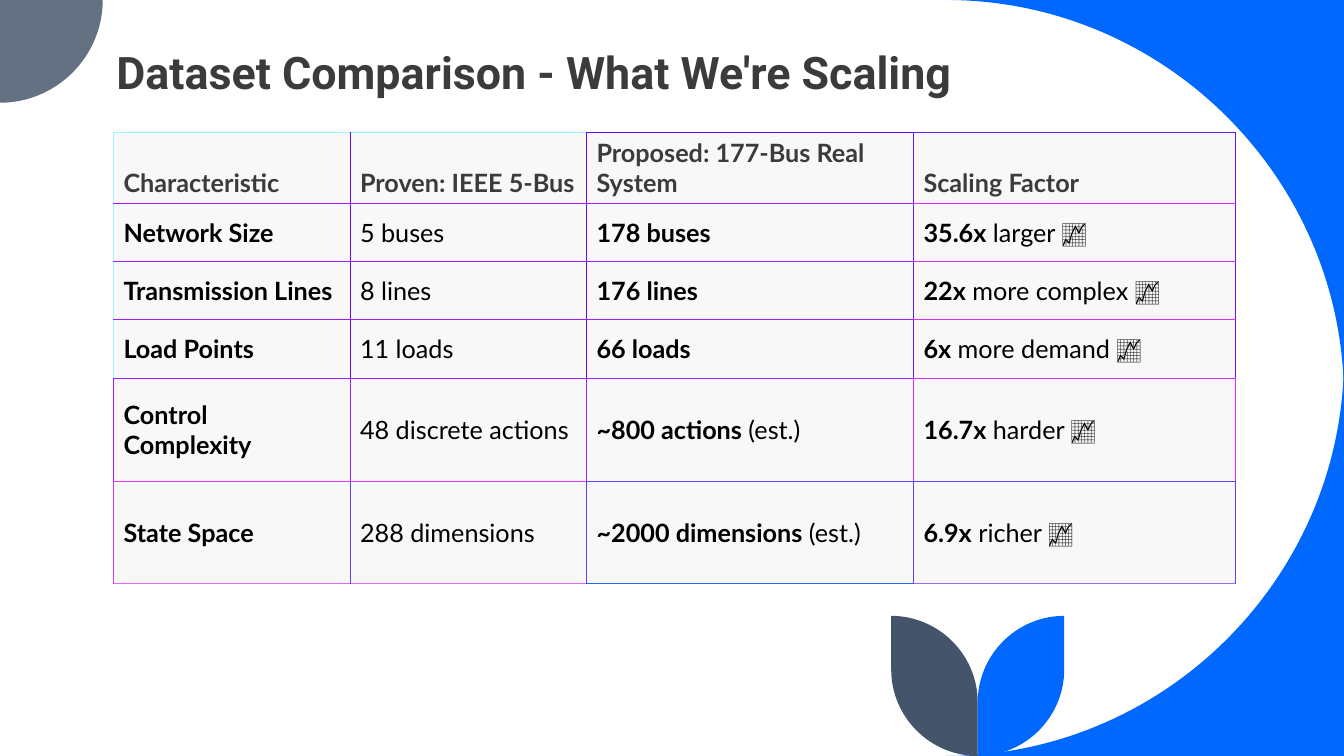
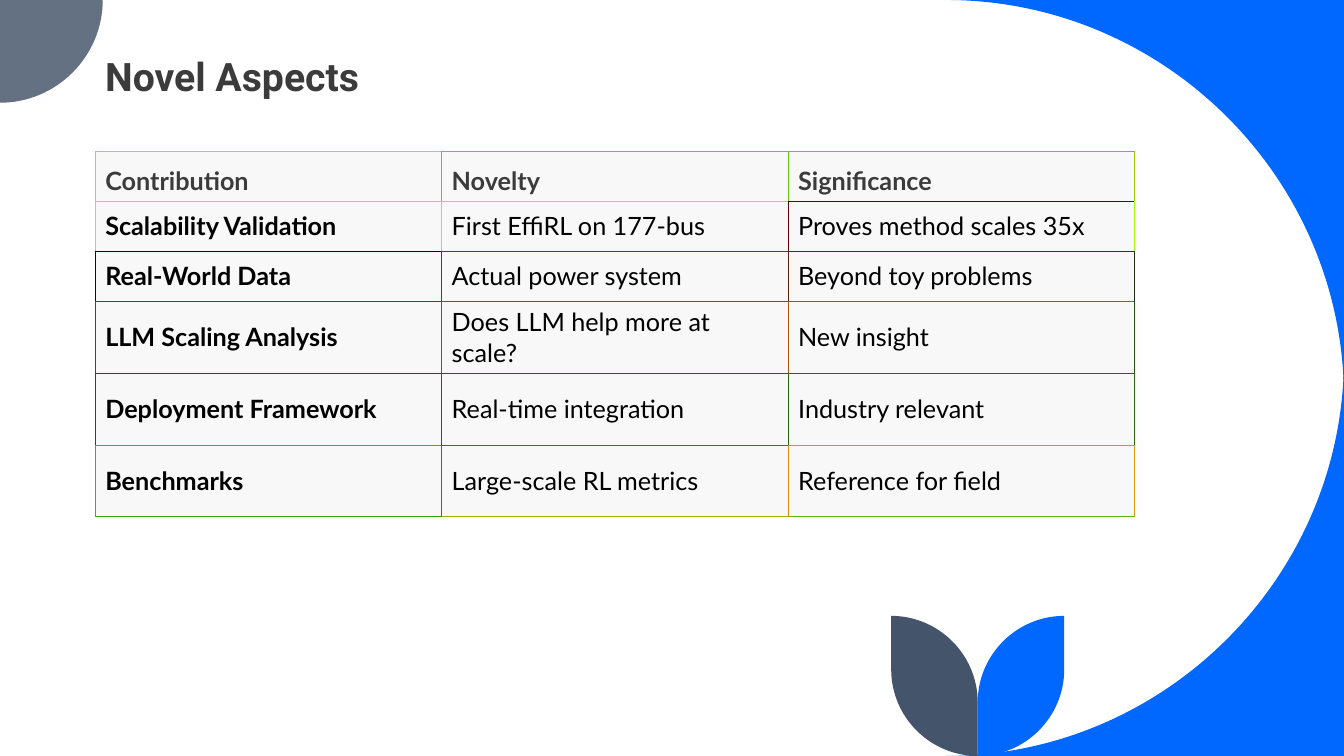
from dataclasses import dataclass
from typing import NamedTuple

from lxml import etree
from pptx import Presentation
from pptx.dml.color import RGBColor
from pptx.enum.text import MSO_ANCHOR
from pptx.oxml.ns import qn
from pptx.util import Cm, Pt

BOTTOM, MIDDLE = MSO_ANCHOR.BOTTOM, MSO_ANCHOR.MIDDLE

# Shared look
BLUE, SLATE, NAVY = "0068FF", "637183", "44546A"
HEADING, BODY, CELL_FILL = "3B3B3B", "000000", "F8F8F8"
TITLE_FONT, TABLE_FONT = "Roboto", "Lato"
BORDER_WIDTH = Pt(0.6)
WIDTH, HEIGHT = 33.87, 19.05
ARC_RATIO = 0.55  # control point distance for a quarter circle

Point = tuple[float, float]
Segment = list[Point]  # one point for a line, three for a curve


class Cell(NamedTuple):
    bold: str = ""
    plain: str = ""


class Outline(NamedTuple):
    start: Point
    segments: list[Segment]
    color: str

    def mirrored(self, color: str, x_axis: float = 0, y_axis: float = 0) -> "Outline":
        """Flip about a vertical line at x_axis or a horizontal one at y_axis."""
        def flip(point: Point) -> Point:
            x, y = point
            return (2 * x_axis - x if x_axis else x, 2 * y_axis - y if y_axis else y)

        segments = [[flip(point) for point in segment] for segment in self.segments]
        return Outline(flip(self.start), segments, color)


@dataclass
class TableSlide:
    title: str
    title_size: int
    left: float
    top: float
    columns: list[float]
    heights: list[float]
    rows: list[list[Cell]]
    level_colors: list[str]  # horizontal edges, one string per level
    side_colors: list[str]  # vertical edges, one string per row


def rgb(color: str) -> RGBColor:
    return RGBColor.from_string(color)


# Decoration outlines, in centimetres
def quarter_arc(start: Point, corner: Point, end: Point) -> Segment:
    """Curve from start to end that bends towards the corner."""
    def toward_corner(point: Point) -> Point:
        x, y = (p + ARC_RATIO * (c - p) for p, c in zip(point, corner))
        return x, y

    return [toward_corner(start), toward_corner(end), end]


def decoration() -> list[Outline]:
    radius, badge = 10.03, 2.59
    stem, leaf_width, leaf_height = 24.64, 2.18, 3.53
    tip, leaf_top = stem + leaf_width, HEIGHT - leaf_height
    corner_start = (WIDTH - radius, 0)
    corner = Outline((WIDTH, 0), [
        [corner_start],
        quarter_arc(corner_start, (WIDTH, 0), (WIDTH, radius)),
    ], BLUE)
    badge_outline = Outline((0, 0), [
        [(badge, 0)],
        quarter_arc((badge, 0), (badge, badge), (0, badge)),
    ], SLATE)
    shoulder, waist = (tip, HEIGHT - leaf_width), (stem, leaf_top + leaf_width)
    leaf = Outline((tip, leaf_top), [
        [shoulder],
        quarter_arc(shoulder, (tip, HEIGHT), (stem, HEIGHT)),
        [waist],
        quarter_arc(waist, (stem, leaf_top), (tip, leaf_top)),
    ], BLUE)
    return [
        corner,
        corner.mirrored(BLUE, y_axis=HEIGHT / 2),
        badge_outline,
        leaf,
        leaf.mirrored(NAVY, x_axis=stem),
    ]


def draw_outline(slide, outline: Outline) -> None:
    builder = slide.shapes.build_freeform(*map(Cm, outline.start))
    for segment in outline.segments:
        builder.add_line_segments([(Cm(x), Cm(y)) for x, y in segment], close=False)
    builder.add_line_segments([], close=True)
    shape = builder.convert_to_shape()
    shape.shadow.inherit = False
    shape.fill.solid()
    shape.fill.fore_color.rgb = rgb(outline.color)
    shape.line.fill.background()

    # Join the three points of each curve into one Bezier element
    lines = iter(list(shape._element.iter(qn("a:lnTo"))))
    for segment in outline.segments:
        parts = [next(lines) for _ in segment]
        if len(parts) == 3:
            curve = etree.Element(qn("a:cubicBezTo"))
            parts[0].addprevious(curve)
            for part in parts:
                curve.append(part[0])
                part.getparent().remove(part)


# Text
def add_run(paragraph, text: str, color: str, **font_format) -> None:
    run = paragraph.add_run()
    run.text = text
    run.font.color.rgb = rgb(color)
    for name, value in font_format.items():
        setattr(run.font, name, value)


def draw_title(slide, text: str, size: int) -> None:
    frame = slide.shapes.add_textbox(Cm(2.4), Cm(-0.13), Cm(30.8), Cm(2.74)).text_frame
    frame.word_wrap = True
    frame.vertical_anchor = BOTTOM
    paragraph = frame.paragraphs[0]
    paragraph.line_spacing = 0.8
    add_run(paragraph, text, HEADING, name=TITLE_FONT, size=Pt(size), bold=True)


# Table
def set_borders(cell, colors: dict[str, str]) -> None:
    properties = cell._tc.get_or_add_tcPr()
    for side, color in colors.items():
        line = etree.SubElement(properties, qn(f"a:ln{side}"), w=str(BORDER_WIDTH))
        fill = etree.SubElement(line, qn("a:solidFill"))
        etree.SubElement(fill, qn("a:srgbClr"), val=color)


def draw_table(slide, content: TableSlide) -> None:
    table = slide.shapes.add_table(
        len(content.rows), len(content.columns), Cm(content.left), Cm(content.top),
        Cm(sum(content.columns)), Cm(sum(content.heights)),
    ).table
    table.first_row = table.horz_banding = False
    for column, width in zip(table.columns, content.columns):
        column.width = Cm(width)
    for row, height in zip(table.rows, content.heights):
        row.height = Cm(height)
    levels = [colors.split() for colors in content.level_colors]
    sides = [colors.split() for colors in content.side_colors]

    for r, row_cells in enumerate(content.rows):
        for c, texts in enumerate(row_cells):
            cell = table.cell(r, c)
            set_borders(cell, {
                "L": sides[r][c], "R": sides[r][c + 1],
                "T": levels[r][c], "B": levels[r + 1][c],
            })
            cell.fill.solid()
            cell.fill.fore_color.rgb = rgb(CELL_FILL)
            cell.vertical_anchor = MIDDLE if r else BOTTOM
            paragraph = cell.text_frame.paragraphs[0]
            for text, bold in ((texts.bold, True), (texts.plain, False)):
                if text:
                    add_run(paragraph, text, BODY if r else HEADING,
                            name=TABLE_FONT, size=Pt(18), bold=bold)


# Content
SLIDES = [
    TableSlide(
        title=" Dataset Comparison - What We're Scaling", title_size=32,
        left=2.86, top=3.34,
        columns=[5.96, 5.96, 8.24, 8.11],
        heights=[1.47] * 4 + [2.59] * 2,
        rows=[
            [Cell("Characteristic"), Cell("Proven: IEEE 5-Bus"),
             Cell("Proposed: 177-Bus Real System"), Cell("Scaling Factor")],
            [Cell("Network Size"), Cell(plain="5 buses"),
             Cell("178 buses"), Cell("35.6x", " larger 📈")],
            [Cell("Transmission Lines"), Cell(plain="8 lines"),
             Cell("176 lines"), Cell("22x", " more complex 📈")],
            [Cell("Load Points"), Cell(plain="11 loads"),
             Cell("66 loads"), Cell("6x", " more demand 📈")],
            [Cell("Control Complexity"), Cell(plain="48 discrete actions"),
             Cell("~800 actions", " (est.)"), Cell("16.7x", " harder 📈")],
            [Cell("State Space"), Cell(plain="288 dimensions"),
             Cell("~2000 dimensions", " (est.)"), Cell("6.9x", " richer 📈")],
        ],
        level_colors=[
            "A0F2FC A0F2FC 6007FD 601CFD",
            *["A01CFD A01CFD A020FD E029FD"] * 4,
            "E033FD E033FD 6041FD 6042FD",
            "E066FD E066FD 2068FD A066FD",
        ],
        side_colors=[
            *["A0F2FC 6007FD 6007FD 601CFD 601CFD"] * 4,
            "A01CFD A020FD A020FD E029FD E029FD",
            "E033FD 6041FD 6041FD 6042FD 6042FD",
        ],
    ),
    TableSlide(
        title="Novel Aspects", title_size=28,
        left=2.4, top=3.81,
        columns=[8.73] * 3,
        heights=[1.26] * 3 + [1.81] * 3,
        rows=[
            [Cell("Contribution"), Cell("Novelty"), Cell("Significance")],
            [Cell("Scalability Validation"), Cell(plain="First EffiRL on 177-bus"),
             Cell(plain="Proves method scales 35x")],
            [Cell("Real-World Data"), Cell(plain="Actual power system"),
             Cell(plain="Beyond toy problems")],
            [Cell("LLM Scaling Analysis"), Cell(plain="Does LLM help more at scale?"),
             Cell(plain="New insight")],
            [Cell("Deployment Framework"), Cell(plain="Real-time integration"),
             Cell(plain="Industry relevant")],
            [Cell("Benchmarks"), Cell(plain="Large-scale RL metrics"),
             Cell(plain="Reference for field")],
        ],
        level_colors=[
            "E0C508 60D108 60D108",
            "A0F308 A0F008 600109",
            "200409 A01E09 602209",
            "604209 A04109 A05709",
            "205609 206507 206B07",
            "A08507 208907 E09007",
            "20AD07 A0B107 60B807",
        ],
        side_colors=[
            "E0C508 60D108 60CD08 A0C808",
            "A0F308 A0F008 600109 A0FF08",
            "200409 A01E09 602209 202E09",
            "604209 A04109 A05709 205609",
            "205609 206507 206B07 207107",
            "A08507 208907 E09007 E09C07",
        ],
    ),
]


def main() -> None:
    presentation = Presentation()
    presentation.slide_width, presentation.slide_height = Cm(WIDTH), Cm(HEIGHT)
    blank_layout = presentation.slide_layouts[6]
    for content in SLIDES:
        slide = presentation.slides.add_slide(blank_layout)
        for outline in decoration():
            draw_outline(slide, outline)
        draw_title(slide, content.title, content.title_size)
        draw_table(slide, content)
    presentation.save("out.pptx")


if __name__ == "__main__":
    main()
